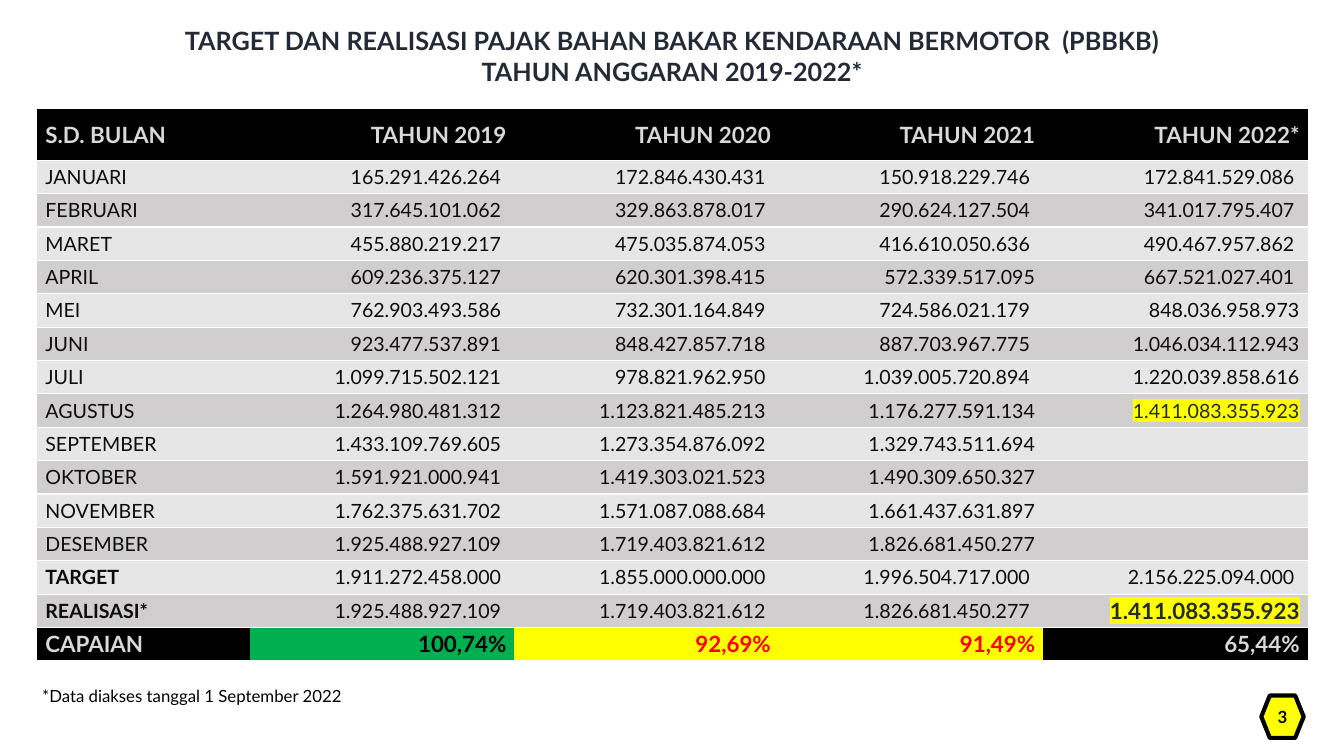
from dataclasses import dataclass

from lxml import etree
from pptx import Presentation
from pptx import util as u
from pptx.dml.color import RGBColor
from pptx.enum import shapes, text
from pptx.oxml.ns import qn

FONT = "Lato"
BLACK = RGBColor(0x00, 0x00, 0x00)
NAVY = RGBColor(0x22, 0x2A, 0x35)
INK = RGBColor(0x0D, 0x0D, 0x0D)
SILVER = RGBColor(0xD9, 0xD9, 0xD9)
WHITE = RGBColor(0xFF, 0xFF, 0xFF)
YELLOW = RGBColor(0xFF, 0xFF, 0x00)
GREEN = RGBColor(0x00, 0xB0, 0x50)
RED = RGBColor(0xFF, 0x00, 0x00)
BANDS = (RGBColor(0xE7, 0xE6, 0xE6), RGBColor(0xD0, 0xCE, 0xCE))

TABLE_LEFT, TABLE_TOP, TABLE_WIDTH, TABLE_HEIGHT = 0.37, 1.08, 12.6, 5.48
MONTH_WIDTH, HEADER_HEIGHT = 2.11, 0.51

HEADER = ("S.D. BULAN", "TAHUN 2019", "TAHUN 2020", "TAHUN 2021", "TAHUN 2022*")
# A trailing space is part of the accounting number format
BODY = (
    ("JANUARI", "165.291.426.264 ", "172.846.430.431 ", "150.918.229.746 ", "172.841.529.086 "),
    ("FEBRUARI", "317.645.101.062 ", "329.863.878.017 ", "290.624.127.504 ", "341.017.795.407 "),
    ("MARET", "455.880.219.217 ", "475.035.874.053 ", "416.610.050.636 ", "490.467.957.862 "),
    ("APRIL", "609.236.375.127 ", "620.301.398.415 ", "572.339.517.095", "667.521.027.401 "),
    ("MEI", "762.903.493.586 ", "732.301.164.849 ", "724.586.021.179 ", "848.036.958.973"),
    ("JUNI", "923.477.537.891 ", "848.427.857.718 ", "887.703.967.775 ", "1.046.034.112.943"),
    ("JULI", "1.099.715.502.121 ", "978.821.962.950 ", "1.039.005.720.894 ", "1.220.039.858.616"),
    ("AGUSTUS", "1.264.980.481.312 ", "1.123.821.485.213 ", "1.176.277.591.134", "1.411.083.355.923"),
    ("SEPTEMBER", "1.433.109.769.605 ", "1.273.354.876.092 ", "1.329.743.511.694", ""),
    ("OKTOBER", "1.591.921.000.941 ", "1.419.303.021.523 ", "1.490.309.650.327", ""),
    ("NOVEMBER", "1.762.375.631.702 ", "1.571.087.088.684 ", "1.661.437.631.897", ""),
    ("DESEMBER", "1.925.488.927.109 ", "1.719.403.821.612 ", "1.826.681.450.277", ""),
    ("TARGET", "1.911.272.458.000 ", "1.855.000.000.000 ", "1.996.504.717.000 ", "2.156.225.094.000 "),
    ("REALISASI*", "1.925.488.927.109 ", "1.719.403.821.612 ", "1.826.681.450.277 ", "1.411.083.355.923"),
)
ACHIEVEMENT = ("CAPAIAN", "100,74%", "92,69%", "91,49%", "65,44%")


@dataclass(frozen=True)
class Style:
    fill: RGBColor
    color: RGBColor = INK
    size: int = 14
    bold: bool = False
    highlight: bool = False


HEAVY = Style(BLACK, SILVER, 16, True)
MISSED = Style(YELLOW, RED, 16, True)
ACHIEVEMENT_STYLES = (HEAVY, Style(GREEN, BLACK, 16, True), MISSED, MISSED, HEAVY)


def set_font(paragraph, size: int, color: RGBColor, bold: bool = False) -> None:
    font = paragraph.font
    font.name, font.size, font.bold = FONT, u.Pt(size), bold
    font.color.rgb = color


def body_style(label: str, value: str, row: int, column: int) -> Style:
    fill = BANDS[row % 2]
    if column == 0:
        return Style(fill, bold=label in ("TARGET", "REALISASI*"))
    if column == 4 and label == "AGUSTUS":
        return Style(fill, NAVY, highlight=True)
    if column == 4 and label == "REALISASI*":
        return Style(fill, NAVY, 16, True, True)
    return Style(fill)


def set_borders(cell) -> None:
    """White rules above and below, none at the sides."""
    properties = cell._tc.get_or_add_tcPr()
    for side in ("lnL", "lnR", "lnT", "lnB"):
        line = etree.SubElement(properties, qn(f"a:{side}"), w=str(u.Pt(1)))
        if side in ("lnL", "lnR"):
            etree.SubElement(line, qn("a:noFill"))
        else:
            fill = etree.SubElement(line, qn("a:solidFill"))
            etree.SubElement(fill, qn("a:srgbClr"), val=str(WHITE))


def fill_cell(cell, value: str, style: Style, column: int) -> None:
    set_borders(cell)
    cell.fill.solid()
    cell.fill.fore_color.rgb = style.fill
    cell.vertical_anchor = text.MSO_ANCHOR.MIDDLE
    cell.margin_left = u.Inches(0 if column else 0.08)
    cell.margin_right = u.Inches(0.08 if column else 0)
    cell.margin_top = cell.margin_bottom = 0
    paragraph = cell.text_frame.paragraphs[0]
    paragraph.alignment = text.PP_ALIGN.RIGHT if column else text.PP_ALIGN.LEFT
    set_font(paragraph, style.size, style.color, style.bold)
    if value:
        run = paragraph.add_run()
        run.text = value
        if style.highlight:
            highlight = etree.SubElement(run._r.get_or_add_rPr(), qn("a:highlight"))
            etree.SubElement(highlight, qn("a:srgbClr"), val=str(YELLOW))


def add_revenue_table(slide) -> None:
    rows = [(HEADER, (HEAVY,) * len(HEADER))]
    for index, values in enumerate(BODY):
        rows.append((values, [body_style(values[0], value, index, column)
                              for column, value in enumerate(values)]))
    rows.append((ACHIEVEMENT, ACHIEVEMENT_STYLES))

    table = slide.shapes.add_table(
        len(rows), len(HEADER), u.Inches(TABLE_LEFT), u.Inches(TABLE_TOP),
        u.Inches(TABLE_WIDTH), u.Inches(TABLE_HEIGHT)).table
    table.first_row = table.horz_banding = False
    year_width = (TABLE_WIDTH - MONTH_WIDTH) / (len(HEADER) - 1)
    row_height = (TABLE_HEIGHT - HEADER_HEIGHT) / (len(rows) - 1)
    for index, column in enumerate(table.columns):
        column.width = u.Inches(year_width if index else MONTH_WIDTH)
    for index, (values, styles) in enumerate(rows):
        table.rows[index].height = u.Inches(row_height if index else HEADER_HEIGHT)
        for column, (value, style) in enumerate(zip(values, styles)):
            fill_cell(table.cell(index, column), value, style, column)


def add_text(slide, lines: tuple[str, ...], box: tuple[float, ...], size: int, color: RGBColor,
             bold: bool, alignment, anchor) -> None:
    frame = slide.shapes.add_textbox(*map(u.Inches, box)).text_frame
    frame.word_wrap = True
    frame.vertical_anchor = anchor
    for index, line in enumerate(lines):
        paragraph = frame.add_paragraph() if index else frame.paragraphs[0]
        paragraph.text = line
        paragraph.alignment = alignment
        set_font(paragraph, size, color, bold)


def add_page_badge(slide) -> None:
    badge = slide.shapes.add_shape(
        shapes.MSO_SHAPE.FLOWCHART_PREPARATION,
        u.Inches(12.51), u.Inches(6.9), u.Inches(0.42), u.Inches(0.42))
    badge.shadow.inherit = False
    badge.fill.solid()
    badge.fill.fore_color.rgb = YELLOW
    badge.line.color.rgb = BLACK
    badge.line.width = u.Pt(3)
    frame = badge.text_frame
    frame.margin_left = frame.margin_right = frame.margin_top = frame.margin_bottom = 0
    frame.vertical_anchor = text.MSO_ANCHOR.MIDDLE
    paragraph = frame.paragraphs[0]
    paragraph.text = "3"
    paragraph.alignment = text.PP_ALIGN.CENTER
    set_font(paragraph, 12, BLACK, True)


def main() -> None:
    presentation = Presentation()
    presentation.slide_width, presentation.slide_height = u.Inches(13.33), u.Inches(7.5)
    slide = presentation.slides.add_slide(presentation.slide_layouts[6])

    # Table of yearly revenue
    add_revenue_table(slide)
    # Title
    add_text(slide, ("TARGET DAN REALISASI PAJAK BAHAN BAKAR KENDARAAN BERMOTOR  (PBBKB)",
                     "TAHUN ANGGARAN 2019-2022*"), (0, 0, 13.33, 1.11), 18, NAVY, True,
             text.PP_ALIGN.CENTER, text.MSO_ANCHOR.MIDDLE)
    # Page number and footnote
    add_page_badge(slide)
    add_text(slide, ("*Data diakses tanggal 1 September 2022",), (0.32, 6.75, 4, 0.3), 12, BLACK,
             False, text.PP_ALIGN.LEFT, text.MSO_ANCHOR.TOP)
    presentation.save("out.pptx")


if __name__ == "__main__":
    main()
